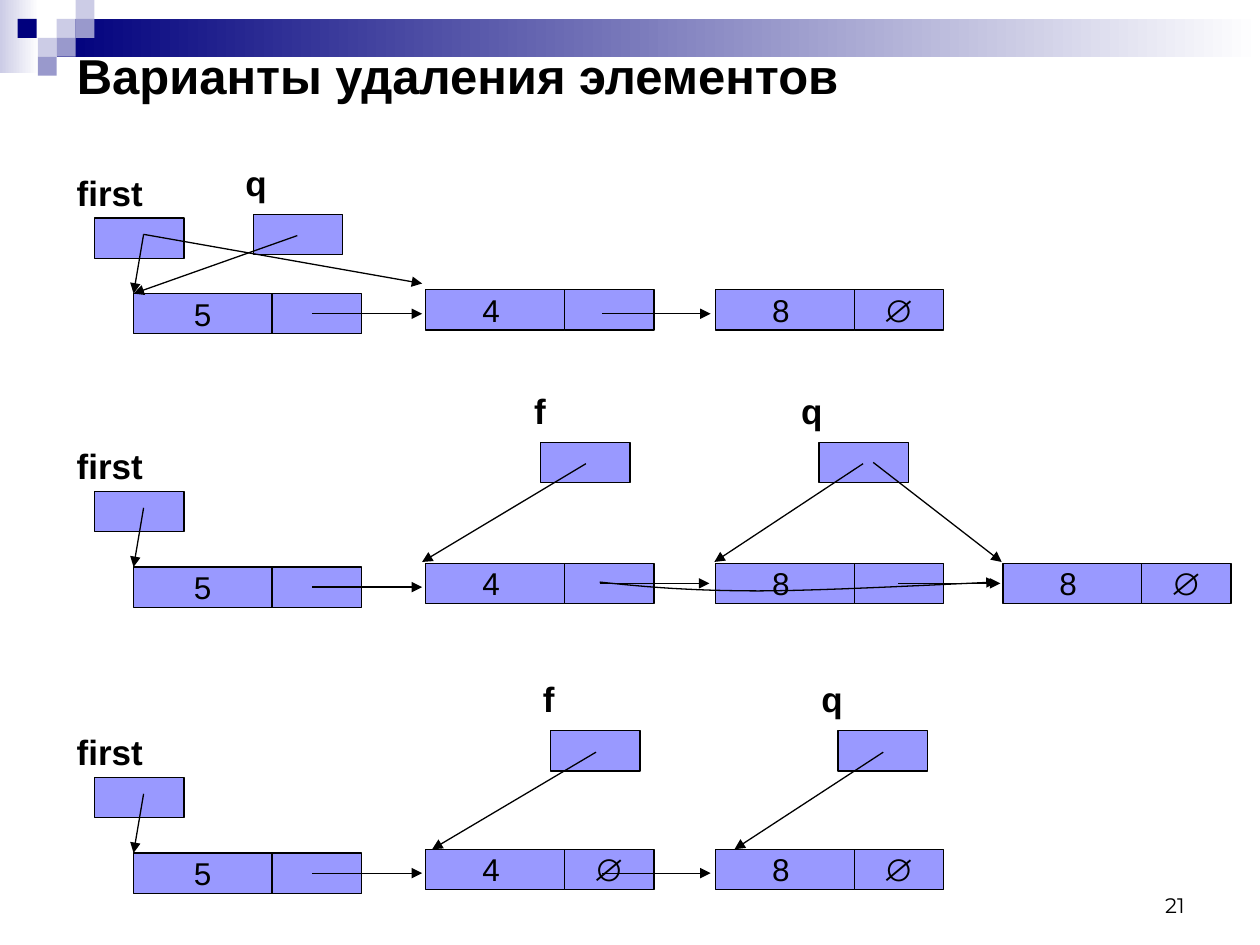
from lxml import etree
from pptx import Presentation
from pptx.dml.color import RGBColor
from pptx.enum.shapes import MSO_CONNECTOR, MSO_SHAPE
from pptx.enum.text import MSO_ANCHOR, MSO_AUTO_SIZE, PP_ALIGN
from pptx.oxml.ns import qn
from pptx.util import Inches, Pt

COLORS = {"black": "000000", "white": "FFFFFF", "cell": "9999FF",
          "navy": "00007D", "pale": "CCCCE6", "mid": "9999CC"}
SQUARE = 0.15
SQUARES = [(0.45, 0.15, "pale"), (0.6, 0, "pale"), (0.6, 0.15, "mid"),
           (0.3, 0.3, "pale"), (0.14, 0.15, "navy"), (0.45, 0.3, "mid"),
           (0.3, 0.45, "mid")]
VALUE_WIDTH, LINK_WIDTH, CELL_HEIGHT = 1.1, 0.71, 0.32
FIRST_X, NODE_XS = 1.06, (3.38, 5.68, 7.96)

# Each list: top of its nodes, (value, is last) of the nodes after the head,
# (name, box x, box offset, label offset) of the pointers, and arrow ends.
LISTS = [
    (2.3, [("4", False), ("8", True)],
     [("q", 2.01, -0.6, -0.16)],
     [((2.36, 1.87), (1.06, 2.33)), ((1.14, 1.86), (3.35, 2.25)),
      ((2.48, 2.49), (3.35, 2.49)), ((4.78, 2.49), (5.64, 2.49))]),
    (4.47, [("4", False), ("8", False), ("8", True)],
     [("f", 4.29, -0.96, -0.15), ("q", 6.5, -0.96, -0.24)],
     [((4.65, 3.68), (3.35, 4.46)), ((6.85, 3.68), (5.67, 4.46)),
      ((6.93, 3.67), (7.95, 4.46)), ((2.48, 4.66), (3.35, 4.66)),
      ((4.76, 4.63), (5.63, 4.63)), ((7.13, 4.63), (7.94, 4.63))]),
    (6.74, [("4", True), ("8", True)],
     [("f", 4.37, -0.94, -0.16), ("q", 6.65, -0.94, -0.23)],
     [((4.73, 5.97), (3.43, 6.74)), ((7.01, 5.97), (5.83, 6.74)),
      ((2.48, 6.93), (3.35, 6.93)), ((4.78, 6.93), (5.64, 6.93))]),
]
BYPASS_CURVES = [
    [(4.76, 4.62), (5.13, 4.66), (5.5, 4.69), (6.02, 4.69)],
    [(6.02, 4.69), (6.55, 4.69), (7.63, 4.63), (7.91, 4.62)],
]
LABEL_WIDTHS = {"first": 0.75, "q": 0.37, "f": 0.29}


def rgb(name):
    return RGBColor.from_string(COLORS[name])


def add_rectangle(slide, x, y, width, height, color, outlined=False):
    shape = slide.shapes.add_shape(MSO_SHAPE.RECTANGLE, Inches(x), Inches(y),
                                   Inches(width), Inches(height))
    shape.shadow.inherit = False
    shape.fill.solid()
    shape.fill.fore_color.rgb = rgb(color)
    if outlined:
        style_line(shape.line)
    else:
        shape.line.fill.background()
    return shape


def add_gradient(slide, x, y, width, height, color):
    """Add a rectangle that fades to white towards the right."""
    fill = add_rectangle(slide, x, y, width, height, color).fill
    fill.gradient()
    fill.gradient_angle = 0
    for stop, position, name in zip(fill.gradient_stops, (0, 1), (color, "white")):
        stop.position = position
        stop.color.rgb = rgb(name)


def style_line(line):
    line.color.rgb = rgb("black")
    line.width = Pt(0.75)


def add_arrowhead(shape):
    style_line(shape.line)
    line = shape.line._get_or_add_ln()
    etree.SubElement(line, qn("a:tailEnd"), type="triangle")


def add_arrow(slide, start, end):
    points = [Inches(value) for value in (*start, *end)]
    connector = slide.shapes.add_connector(MSO_CONNECTOR.STRAIGHT, *points)
    add_arrowhead(connector)
    etree.SubElement(connector._element.spPr, qn("a:effectLst"))


def bezier_point(controls, t):
    weights = ((1 - t) ** 3, 3 * t * (1 - t) ** 2, 3 * t ** 2 * (1 - t), t ** 3)
    return tuple(Inches(sum(weight * point[axis]
                            for weight, point in zip(weights, controls)))
                 for axis in (0, 1))


def add_curved_arrow(slide, curves, steps=12):
    points = [bezier_point(curve, step / steps)
              for curve in curves for step in range(1, steps + 1)]
    builder = slide.shapes.build_freeform(*bezier_point(curves[0], 0))
    builder.add_line_segments(points, close=False)
    shape = builder.convert_to_shape()
    shape.shadow.inherit = False
    shape.fill.background()
    add_arrowhead(shape)


def add_run(paragraph, text, size, font_name="Arial", bold=False):
    run = paragraph.add_run()
    run.text = text
    run.font.size = Pt(size)
    run.font.name = font_name
    run.font.bold = bold
    run.font.color.rgb = rgb("black")


def add_text(slide, text, x, y, width, height, size, bold=False):
    box = slide.shapes.add_textbox(Inches(x), Inches(y), Inches(width), Inches(height))
    frame = box.text_frame
    frame.word_wrap = False
    frame.auto_size = MSO_AUTO_SIZE.SHAPE_TO_FIT_TEXT
    add_run(frame.paragraphs[0], text, size, bold=bold)


def add_pointer(slide, name, x, y, label_x, label_y):
    add_rectangle(slide, x, y, LINK_WIDTH, CELL_HEIGHT, "cell", outlined=True)
    add_text(slide, name, label_x, label_y, LABEL_WIDTHS[name], 0.44, 20, bold=True)


def add_node(slide, value, x, y, is_last=False, value_offset=0.35):
    link_x = x + VALUE_WIDTH
    add_rectangle(slide, x, y, VALUE_WIDTH, CELL_HEIGHT, "cell", outlined=True)
    add_rectangle(slide, link_x, y, LINK_WIDTH, CELL_HEIGHT, "cell", outlined=True)
    add_text(slide, value, x + value_offset, y - 0.04, 0.34, 0.4, 18)
    if is_last:
        add_text(slide, "∅", link_x + 0.13, y - 0.04, 0.4, 0.4, 18)


def add_linked_list(slide, top, nodes, pointers, arrows):
    add_pointer(slide, "first", 0.75, top - 0.57, 0.51, top - 0.99)
    add_node(slide, "5", FIRST_X, top + 0.03, value_offset=0.38)
    for x, (value, is_last) in zip(NODE_XS, nodes):
        add_node(slide, value, x, top, is_last)
    for name, x, offset, label_offset in pointers:
        y = top + offset
        add_pointer(slide, name, x, y, x + label_offset, y - 0.47)
    add_arrow(slide, (1.14, top - 0.44), (FIRST_X, top + 0.03))
    for start, end in arrows:
        add_arrow(slide, start, end)


def add_decoration(slide):
    add_gradient(slide, 0, 0, 0.31, 0.58, "pale")
    add_gradient(slide, 0.45, 0.15, 9.55, 0.3, "navy")
    for x, y, color in SQUARES:
        add_rectangle(slide, x, y, SQUARE, SQUARE, color)


def set_title(slide, text):
    title = slide.shapes.title
    title.left, title.top = Inches(0.51), Inches(0.29)
    title.width, title.height = Inches(9), Inches(0.61)
    frame = title.text_frame
    frame.auto_size = MSO_AUTO_SIZE.NONE
    frame.vertical_anchor = MSO_ANCHOR.MIDDLE
    paragraph = frame.paragraphs[0]
    paragraph.alignment = PP_ALIGN.LEFT
    add_run(paragraph, text, 28, bold=True)


def add_page_number(slide, number):
    box = slide.shapes.add_textbox(Inches(7.17), Inches(6.83), Inches(2.33), Inches(0.5))
    frame = box.text_frame
    frame.word_wrap = True
    frame.vertical_anchor = MSO_ANCHOR.BOTTOM
    frame.paragraphs[0].alignment = PP_ALIGN.RIGHT
    add_run(frame.paragraphs[0], number, 12, "Montserrat")


def main():
    presentation = Presentation()
    presentation.slide_width, presentation.slide_height = Inches(10), Inches(7.5)
    slide = presentation.slides.add_slide(presentation.slide_layouts[5])
    add_decoration(slide)
    set_title(slide, "Варианты удаления элементов")
    for linked_list in LISTS:
        add_linked_list(slide, *linked_list)
    add_curved_arrow(slide, BYPASS_CURVES)
    add_page_number(slide, "21")
    presentation.save("out.pptx")


if __name__ == "__main__":
    main()
